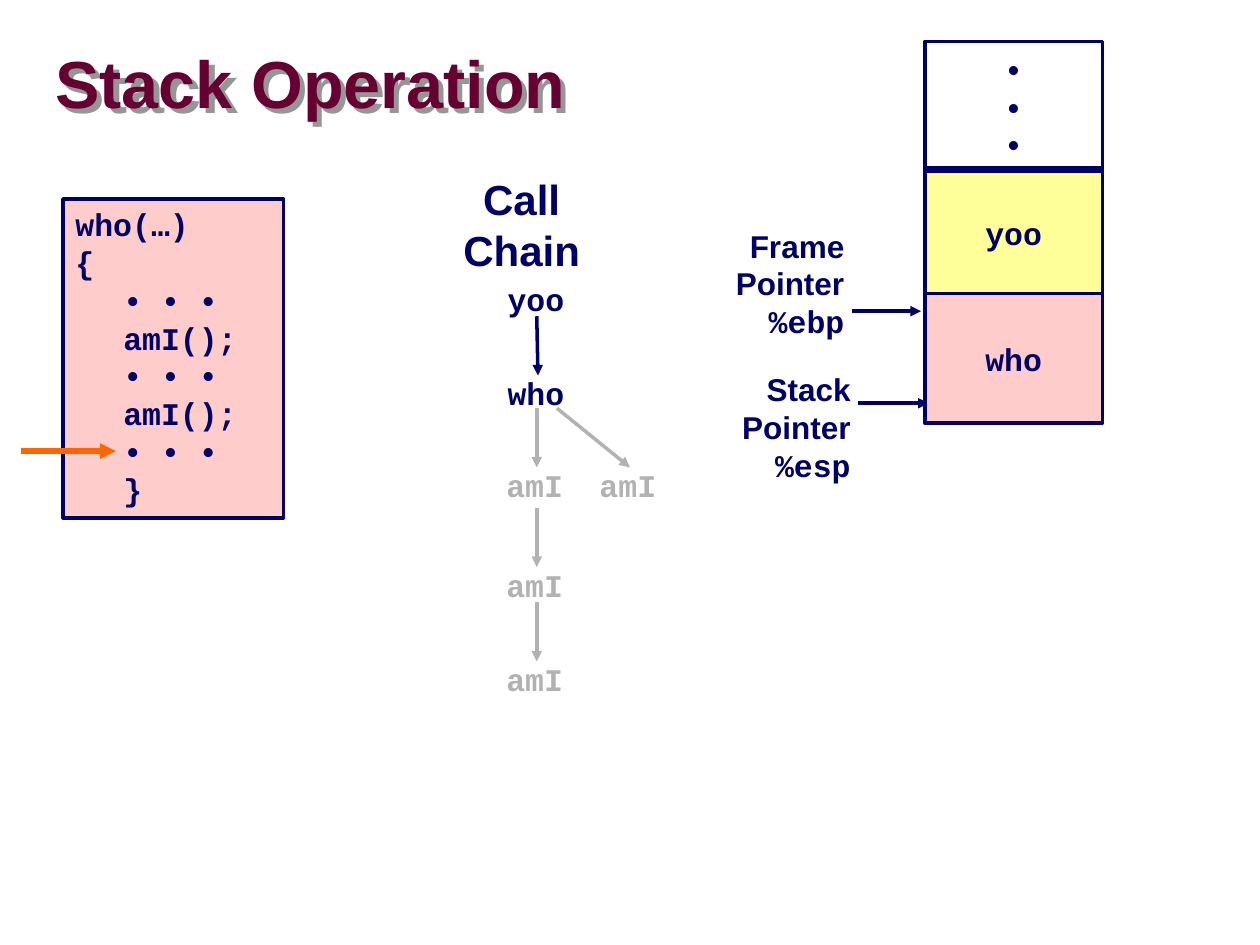
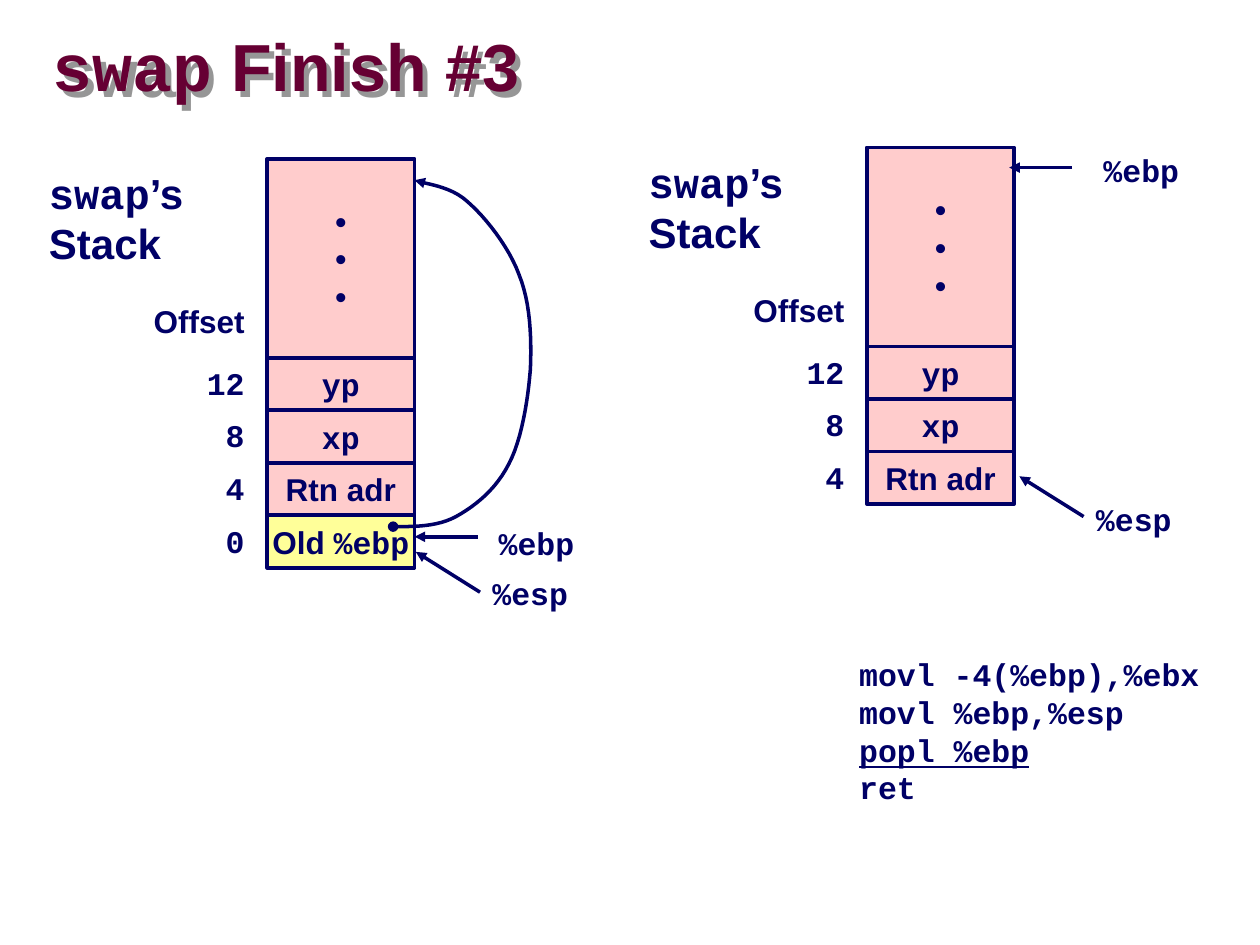
"""Build two slides on call stacks: a call chain with its frames, and the end of swap."""
import pptx
import pptx.dml.color
import pptx.enum.shapes
import pptx.enum.text
import pptx.oxml
import pptx.oxml.ns
import pptx.util

RGBColor = pptx.dml.color.RGBColor
Inches = pptx.util.Inches
ALIGN = pptx.enum.text.PP_ALIGN
ANCHOR = pptx.enum.text.MSO_ANCHOR
RECTANGLE = pptx.enum.shapes.MSO_SHAPE.RECTANGLE
STRAIGHT = pptx.enum.shapes.MSO_CONNECTOR.STRAIGHT

NAVY = RGBColor(0x00, 0x00, 0x66)
WINE = RGBColor(0x66, 0x00, 0x33)
PINK = RGBColor(0xFF, 0xCC, 0xCC)
YELLOW = RGBColor(0xFF, 0xFF, 0x99)
GREY = RGBColor(0xB2, 0xB2, 0xB2)
ORANGE = RGBColor(0xFF, 0x66, 0x00)
SANS, MONO = "Arial", "Courier New"


def sans(*lines):
    return [[(line, SANS)] for line in lines]


def mono(*lines):
    return [[(line, MONO)] for line in lines]


WHO_CODE = mono("who(…)", "{", "• • •", "amI();", "• • •", "amI();", "• • •", "}")
CODE_INDENT = 0.38
FRAMES = [(mono("•", "•", "•"), None), (mono("yoo"), YELLOW), (mono("who"), PINK)]
FRAME_LEFT, FRAME_TOP, FRAME_WIDTH, FRAME_STEP, FRAME_HEIGHT = 7.34, 0.33, 1.41, 1, 1.03
POINTERS = [
    (sans("Stack", "Pointer") + mono("%esp"), 5.79, 2.89, 0.31, 0.56),
    (sans("Frame", "Pointer") + mono("%ebp"), 5.74, 1.75, 0.72, 0.55),
]
CALLS = [
    ("yoo", 3.93, 2.17, NAVY, None),
    ("who", 3.93, 2.92, NAVY, 4.26),
    ("amI", 3.92, 3.65, GREY, 4.26),
    ("amI", 3.92, 4.44, GREY, 4.26),
    ("amI", 3.92, 5.19, GREY, 4.26),
    ("amI", 4.66, 3.65, GREY, 4.42),
]

ARGUMENTS = [("12", mono("yp"), PINK), ("8", mono("xp"), PINK), ("4", sans("Rtn adr"), PINK)]
SAVED = ("0", [[("Old ", SANS), ("%ebp", MONO)]], YELLOW)
STACKS = [(2.12, 1.26, ARGUMENTS + [SAVED]), (6.88, 1.17, ARGUMENTS)]
CALLER_HEIGHT, ROW, STACK_WIDTH = 1.58, 1.25 / 3, 1.17
REGISTERS = [
    ("%ebp", 3.86, 4.11, (3.79, 4.26), (3.29, 4.26)),
    ("%esp", 3.81, 4.51, (3.81, 4.7), (3.3, 4.38)),
    ("%ebp", 8.66, 1.15, (8.51, 1.33), (8.01, 1.33)),
    ("%esp", 8.6, 3.92, (8.6, 4.1), (8.09, 3.78)),
]
FINISH_CODE = mono("movl -4(%ebp),%ebx", "movl %ebp,%esp", "popl %ebp", "ret")
CURRENT_LINE = 2
LINK_CURVE = [
    (3.12, 4.18), (3.3, 4.18), (3.47, 4.18), (3.62, 4.1), (3.78, 4.01), (3.94, 3.88),
    (4.04, 3.68), (4.14, 3.49), (4.19, 3.18), (4.21, 2.93), (4.22, 2.68), (4.21, 2.4),
    (4.12, 2.18), (4.04, 1.96), (3.85, 1.72), (3.71, 1.6), (3.57, 1.47), (3.36, 1.46),
    (3.29, 1.43),
]
CURVE_STEPS = 12


def drawing_element(tag, **attributes):
    element = pptx.oxml.parse_xml(f"<a:{tag} {pptx.oxml.ns.nsdecls('a')}/>")
    for name, value in attributes.items():
        element.set(name, value)
    return element


def write(box, lines, size=18, colour=NAVY, align=ALIGN.LEFT, anchor=ANCHOR.TOP, wrap=False):
    frame = box.text_frame
    frame.word_wrap = wrap
    frame.vertical_anchor = anchor
    for number, spans in enumerate(lines):
        para = frame.add_paragraph() if number else frame.paragraphs[0]
        para.alignment = align
        for text, font in spans:
            span = para.add_run()
            span.text = text
            span.font.name = font
            span.font.size = pptx.util.Pt(size)
            span.font.bold = True
            span.font.color.rgb = colour
    return frame


def add_text(page, place, lines, **style):
    box = page.shapes.add_textbox(*map(Inches, place))
    write(box, lines, **style)
    return box


def add_cell(page, place, lines, fill, align=ALIGN.CENTER, anchor=ANCHOR.MIDDLE):
    cell = page.shapes.add_shape(RECTANGLE, *map(Inches, place))
    cell.shadow.inherit = False
    if fill is None:
        cell.fill.background()
    else:
        cell.fill.solid()
        cell.fill.fore_color.rgb = fill
    cell.line.color.rgb = NAVY
    cell.line.width = pptx.util.Pt(2)
    return write(cell, lines, align=align, anchor=anchor)


def style_arrow(arrow, colour, width, head=None):
    arrow.line.color.rgb = colour
    arrow.line.width = pptx.util.Pt(width)
    properties = arrow._element.spPr
    line = properties.find(pptx.oxml.ns.qn("a:ln"))
    if head:
        line.append(drawing_element("headEnd", type=head))
    line.append(drawing_element("tailEnd", type="triangle"))


def add_arrow(page, start, end, colour=NAVY, width=2):
    arrow = page.shapes.add_connector(STRAIGHT, *map(Inches, start + end))
    style_arrow(arrow, colour, width)
    arrow._element.spPr.append(drawing_element("effectLst"))


def add_title(page, place, spans):
    title = add_text(page, place, [spans], size=38, colour=WINE, anchor=ANCHOR.MIDDLE, wrap=True)
    frame = title.text_frame
    frame.margin_left = frame.margin_right = frame.margin_top = frame.margin_bottom = 0
    frame.paragraphs[0].line_spacing = 0.87
    shadow = drawing_element("outerShdw", dist="53882", dir="2700000", algn="ctr", rotWithShape="0")
    shadow.append(drawing_element("srgbClr", val="969696"))
    effects = drawing_element("effectLst")
    effects.append(shadow)
    title._element.spPr.append(effects)


def curve_points(controls):
    points = [controls[0]]
    for first in range(0, len(controls) - 1, 3):
        corners = controls[first:first + 4]
        for step in range(1, CURVE_STEPS + 1):
            t = step / CURVE_STEPS
            weights = ((1 - t) ** 3, 3 * t * (1 - t) ** 2, 3 * t * t * (1 - t), t ** 3)
            points.append(tuple(
                sum(weight * corner[axis] for weight, corner in zip(weights, corners))
                for axis in (0, 1)))
    return points


def add_curve(page, controls):
    points = [tuple(map(Inches, point)) for point in curve_points(controls)]
    builder = page.shapes.build_freeform(*points[0])
    builder.add_line_segments(points[1:], close=False)
    curve = builder.convert_to_shape()
    curve.shadow.inherit = False
    curve.fill.background()
    style_arrow(curve, NAVY, 2, head="oval")


def build_call_chain(page):
    add_title(page, (0.44, 0.27, 9.53, 0.85), [("Stack Operation", SANS)])
    for lines, left, top, drop, length in POINTERS:
        start = left + 1.02
        add_arrow(page, (start, top + drop), (start + length, top + drop))
        add_text(page, (left, top, 1.06, 1), lines, align=ALIGN.RIGHT)
    for number in (1, 2, 0):
        lines, fill = FRAMES[number]
        top = FRAME_TOP + number * FRAME_STEP
        add_cell(page, (FRAME_LEFT, top, FRAME_WIDTH, FRAME_HEIGHT), lines, fill)

    code = add_cell(page, (0.5, 1.58, 1.75, 2.53), WHO_CODE, PINK, ALIGN.LEFT, ANCHOR.TOP)
    for para in code.paragraphs[2:]:
        para._p.get_or_add_pPr().set("marL", str(Inches(CODE_INDENT)))
    add_arrow(page, (0.17, 3.58), (0.92, 3.58), ORANGE, 3)

    heading = add_text(page, (3.58, 1.33, 1.12, 0.9), sans("Call Chain"),
                       size=24, align=ALIGN.CENTER, wrap=True)
    heading.text_frame.margin_left = heading.text_frame.margin_right = 0
    for name, left, top, colour, start in CALLS:
        add_text(page, (left, top, 0.66, 0.4), mono(name), colour=colour)
        if start:
            tip = top + 0.06
            add_arrow(page, (start, tip - 0.47), (left + 0.34, tip), colour)


def build_stack(page, left, top, rows):
    add_text(page, (left - 1.83, top + 0.02, 1.28, 0.9),
             [[("swap", MONO), ("’s", SANS)]] + sans("Stack"), size=24)
    add_text(page, (left - 1, top + 1.09, 0.92, 0.4), sans("Offset"), align=ALIGN.RIGHT)
    for number, (offset, lines, fill) in enumerate(rows):
        row_top = top + CALLER_HEIGHT + number * ROW
        add_cell(page, (left, row_top, STACK_WIDTH, ROW), lines, fill)
        add_text(page, (left - 0.58, row_top, 0.5, 0.4), mono(offset), align=ALIGN.RIGHT)
    add_cell(page, (left, top, STACK_WIDTH, CALLER_HEIGHT), sans("•", "•", "•"), PINK)


def build_swap_finish(page):
    add_title(page, (0.42, 0.25, 6.41, 0.63), [("swap", MONO), (" Finish #3", SANS)])
    for left, top, rows in STACKS:
        build_stack(page, left, top, rows)
    for name, left, top, start, end in REGISTERS:
        add_arrow(page, start, end)
        add_text(page, (left, top, 0.8, 0.4), mono(name))
    add_curve(page, LINK_CURVE)
    code = add_text(page, (6.72, 5.15, 2.92, 1.3), FINISH_CODE)
    code.text_frame.paragraphs[CURRENT_LINE].runs[0].font.underline = True


def main():
    deck = pptx.Presentation()
    deck.slide_width, deck.slide_height = Inches(10), Inches(7.5)
    for build in (build_call_chain, build_swap_finish):
        build(deck.slides.add_slide(deck.slide_layouts[6]))
    deck.save("out.pptx")


if __name__ == "__main__":
    main()
